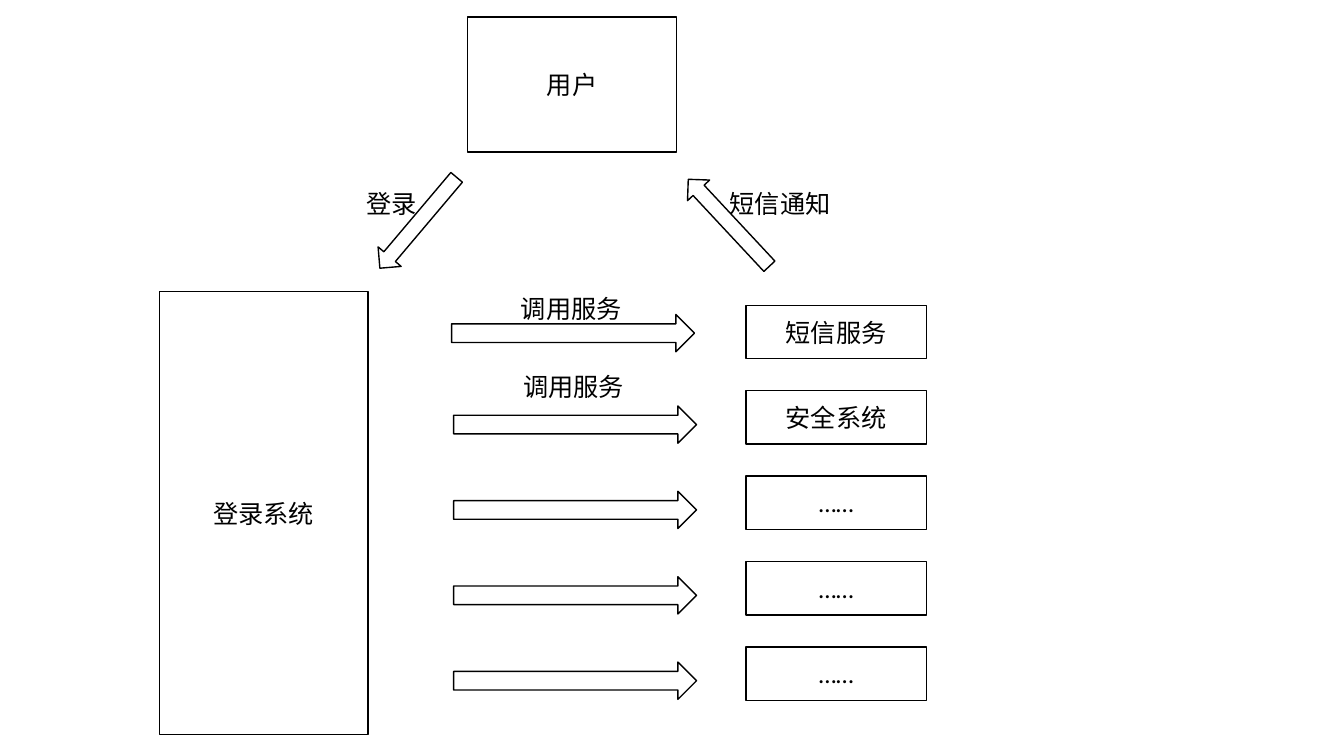
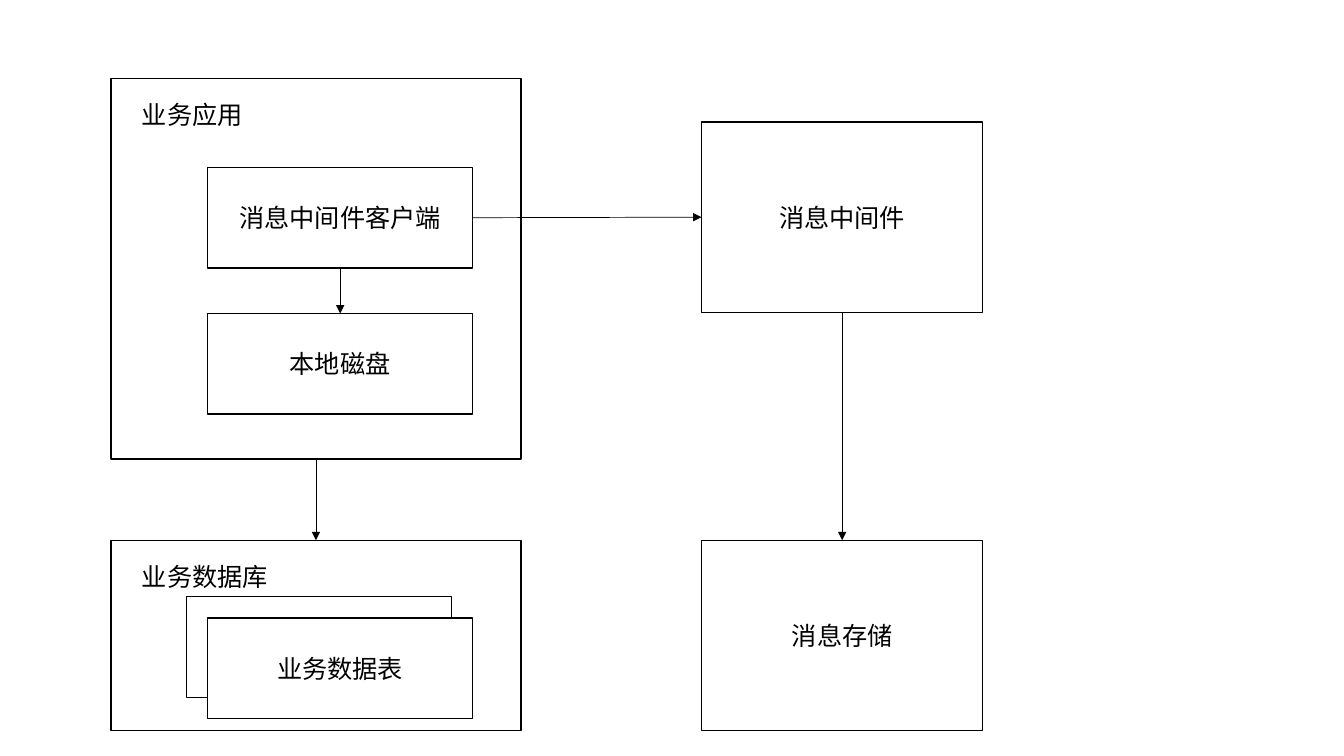
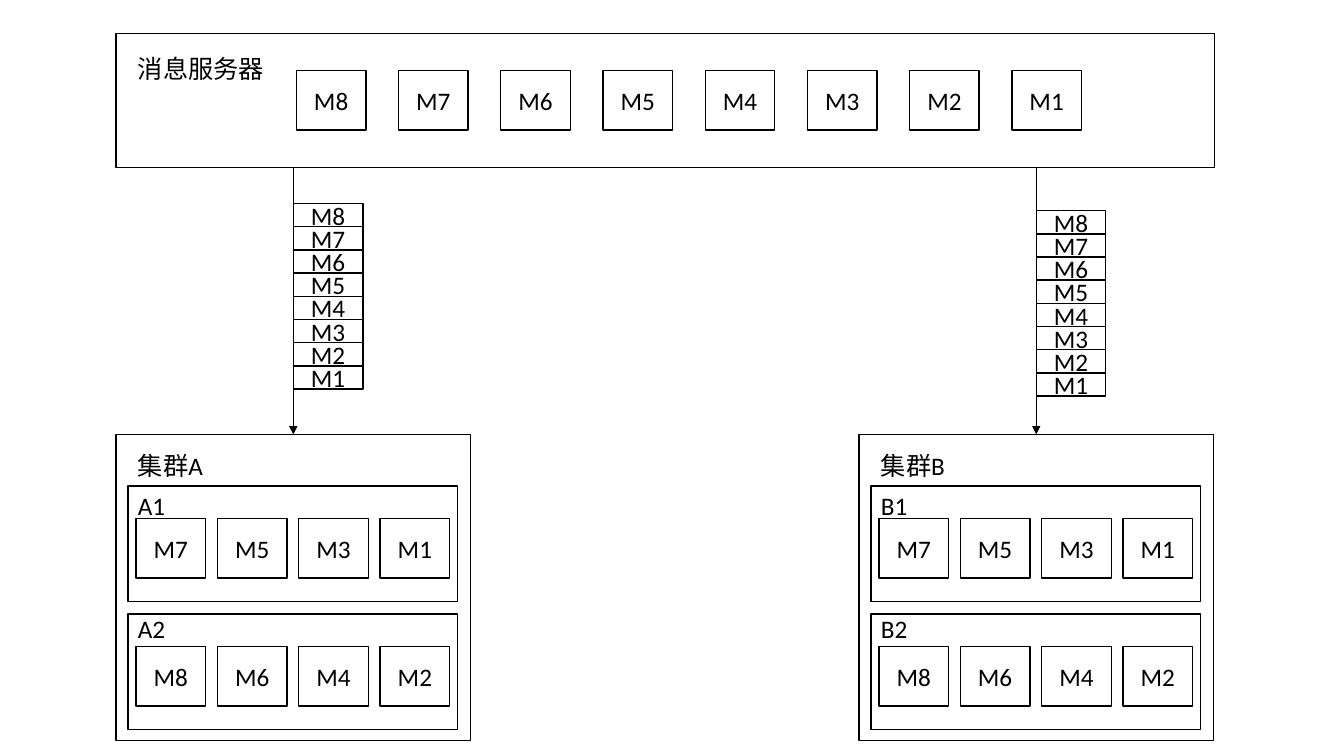
from dataclasses import dataclass

from lxml.etree import SubElement
from pptx import Presentation
from pptx.dml.color import RGBColor
from pptx.enum.shapes import MSO_CONNECTOR as Connector, MSO_SHAPE as Preset
from pptx.enum.text import MSO_ANCHOR as Anchor, MSO_AUTO_SIZE as AutoSize, PP_ALIGN as Align
from pptx.oxml.ns import qn
from pptx.util import Inches, Pt

BLACK = RGBColor(0x00, 0x00, 0x00)
WHITE = RGBColor(0xFF, 0xFF, 0xFF)
FONT = "Calibri"
TEXT_SIZE = Pt(18)
OUTLINE = Pt(1)
LINK_WIDTH = Pt(0.5)

# The slide is a grid of square cells, 133.33 columns by 75 rows.
CELL = Inches(0.1)
COLUMNS, ROWS = 133.33, 75
LABEL_ROWS = 4
TOKEN_COLUMNS, TOKEN_ROWS = 6.9, 5.9
TOP, LEFT, BOTTOM, RIGHT = range(4)  # connection sites of a rectangle


def cells(count):
    """Turn a number of grid cells into a length."""
    return round(count * CELL)


@dataclass(frozen=True)
class Box:
    """An area of the grid, in columns and rows."""
    left: float
    top: float
    width: float
    height: float

    def inner(self, left, top, width, height):
        """Return an area placed from this one's top left corner."""
        return Box(self.left + left, self.top + top, width, height)

    def place(self):
        """Return left, top, width and height as lengths."""
        return [cells(side) for side in (self.left, self.top, self.width, self.height)]


def write(frame, text):
    """Put one styled run into a text frame and return its paragraph."""
    para = frame.paragraphs[0]
    run = para.add_run()
    run.text = text
    run.font.name, run.font.size = FONT, TEXT_SIZE
    run.font.color.rgb = BLACK
    return para


def add_outline(page, box, text="", preset=Preset.RECTANGLE, turn=0):
    """Draw a white shape with a black outline and optional centred text."""
    shape = page.shapes.add_shape(preset, *box.place())
    shape.shadow.inherit = False
    shape.fill.solid()
    shape.fill.fore_color.rgb = WHITE
    shape.line.color.rgb = BLACK
    shape.line.width = OUTLINE
    shape.rotation = turn
    if text:
        shape.text_frame.vertical_anchor = Anchor.MIDDLE
        write(shape.text_frame, text).alignment = Align.CENTER
    return shape


def add_label(page, box, text):
    """Write a free label."""
    frame = page.shapes.add_textbox(*box.place()).text_frame
    frame.word_wrap = True
    frame.auto_size = AutoSize.SHAPE_TO_FIT_TEXT
    write(frame, text)


def add_link(page, start=(0, 0)):
    """Draw a thin arrow from a grid point, to be connected at its end."""
    point = [cells(value) for value in start]
    link = page.shapes.add_connector(Connector.STRAIGHT, *point, *point)
    link.line.color.rgb = BLACK
    link.line.width = LINK_WIDTH
    properties = link.element.spPr
    SubElement(properties.find(qn("a:ln")), qn("a:tailEnd"), type="triangle")
    SubElement(properties, qn("a:effectLst"))
    return link


def join(page, source, source_site, target, target_site):
    """Link two shapes at the given connection sites."""
    link = add_link(page)
    link.begin_connect(source, source_site)
    link.end_connect(target, target_site)


def add_tokens(page, box, names, step_right=0, step_down=0):
    """Repeat a message box at equal steps, the first one filling the box."""
    for index, name in enumerate(names):
        add_outline(page, box.inner(index * step_right, index * step_down,
                                    box.width, box.height), name)


def add_services(page, box):
    """Draw the called services in rows, each with its arrow and label."""
    step = 8.47
    services = ["短信服务", "安全系统", "……", "……", "……"]
    for index, service in enumerate(services):
        add_outline(page, box.inner(29, index * step, 17.9, 5.3), service)
        # A turned shape is placed by its upright frame.
        shift, drop = (-0.2, 0) if index == 0 else (0, 0.6)
        add_outline(page, box.inner(10.2 + shift, index * step + drop - 9.3, 3.7, 24.1),
                    preset=Preset.DOWN_ARROW, turn=270)
    for left, top in ((5.7, -1.7), (5.9, 6)):
        add_label(page, box.inner(left, top, 12.2, LABEL_ROWS), "调用服务")


def draw_login(page, box):
    """Show the login system calling services for a user."""
    add_outline(page, box.inner(15.8, 28.9, 20.7, 44), "登录系统")
    add_outline(page, box.inner(46.4, 1.7, 20.7, 13.4), "用户")
    for left, turn, label_left, label in ((40, 40.2, 35.4, "登录"),
                                          (70.8, 137, 71.4, "短信通知")):
        add_outline(page, box.inner(left, 16.2, 3, 11.8), preset=Preset.DOWN_ARROW, turn=turn)
        add_label(page, box.inner(label_left, 18.2, 12.2, LABEL_ROWS), label)
    add_services(page, box.inner(45, 30.3, 46.9, 39.2))


def add_panel(page, box, title):
    """Draw a titled frame that holds other boxes."""
    panel = add_outline(page, box)
    add_label(page, box.inner(2.1, 1.6, 14.9, LABEL_ROWS), title)
    return panel


def draw_middleware(page, box):
    """Show how messages travel from the application to storage."""
    left, right, lower = 11, 69.6, 53.6
    card_left, card = 20.6, (26.3, 10)
    block = (27.9, 18.9)
    application = add_panel(page, box.inner(left, 7.8, 40.7, 37.75), "业务应用")
    client = add_outline(page, box.inner(card_left, 16.6, *card), "消息中间件客户端")
    disk = add_outline(page, box.inner(card_left, 31.1, *card), "本地磁盘")
    middleware = add_outline(page, box.inner(right, 12.1, *block), "消息中间件")
    storage = add_outline(page, box.inner(right, lower, *block), "消息存储")
    database = add_panel(page, box.inner(left, lower, 40.7, 18.9), "业务数据库")
    add_outline(page, box.inner(card_left - 2.1, 59.2, *card))
    add_outline(page, box.inner(card_left, 61.3, *card), "业务数据表")
    join(page, application, BOTTOM, database, TOP)
    join(page, client, BOTTOM, disk, TOP)
    join(page, client, RIGHT, middleware, LEFT)
    join(page, middleware, BOTTOM, storage, TOP)


def add_member(page, box, name, label_top, messages):
    """Draw one cluster member with the messages it received."""
    add_outline(page, box)
    add_label(page, box.inner(0, label_top, 11, LABEL_ROWS), name)
    add_tokens(page, box.inner(0.8, 3.25, TOKEN_COLUMNS, TOKEN_ROWS),
               messages, step_right=8.07)


def add_cluster(page, box, letter):
    """Draw a cluster of two members and return its frame."""
    cluster = add_outline(page, box)
    add_label(page, box.inner(1.2, 1.1, 11, LABEL_ROWS), "集群" + letter)
    members = ((5.1, 0, ["M7", "M5", "M3", "M1"]),
               (17.8, -0.5, ["M8", "M6", "M4", "M2"]))
    for number, (top, label_top, messages) in enumerate(members, start=1):
        add_member(page, box.inner(1.2, top, 32.7, 11.5), f"{letter}{number}",
                   label_top, messages)
    return cluster


def draw_clusters(page, box):
    """Show a server sending every message to two clusters."""
    messages = [f"M{number}" for number in range(8, 0, -1)]
    server = box.inner(11.5, 3.3, 109, 13.3)
    add_outline(page, server)
    add_label(page, server.inner(1.2, 1.5, 16.7, LABEL_ROWS), "消息服务器")
    add_tokens(page, server.inner(17.9, 3.7, TOKEN_COLUMNS, TOKEN_ROWS),
               messages, step_right=10.14)
    for letter, left, queue_top in (("A", 11.5, 20.2), ("B", 85.2, 20.9)):
        area = box.inner(left, 43.1, 35.2, 30.4)
        cluster = add_cluster(page, area, letter)
        middle = area.left + area.width / 2
        add_link(page, (middle, server.top + server.height)).end_connect(cluster, TOP)
        add_tokens(page, box.inner(middle, queue_top, TOKEN_COLUMNS, 2.3),
                   messages, step_down=2.3)


def main():
    """Build and save the deck."""
    deck = Presentation()
    deck.slide_width, deck.slide_height = cells(COLUMNS), cells(ROWS)
    blank = deck.slide_layouts[6]
    for draw in (draw_login, draw_middleware, draw_clusters):
        draw(deck.slides.add_slide(blank), Box(0, 0, COLUMNS, ROWS))
    deck.save("out.pptx")


main()
